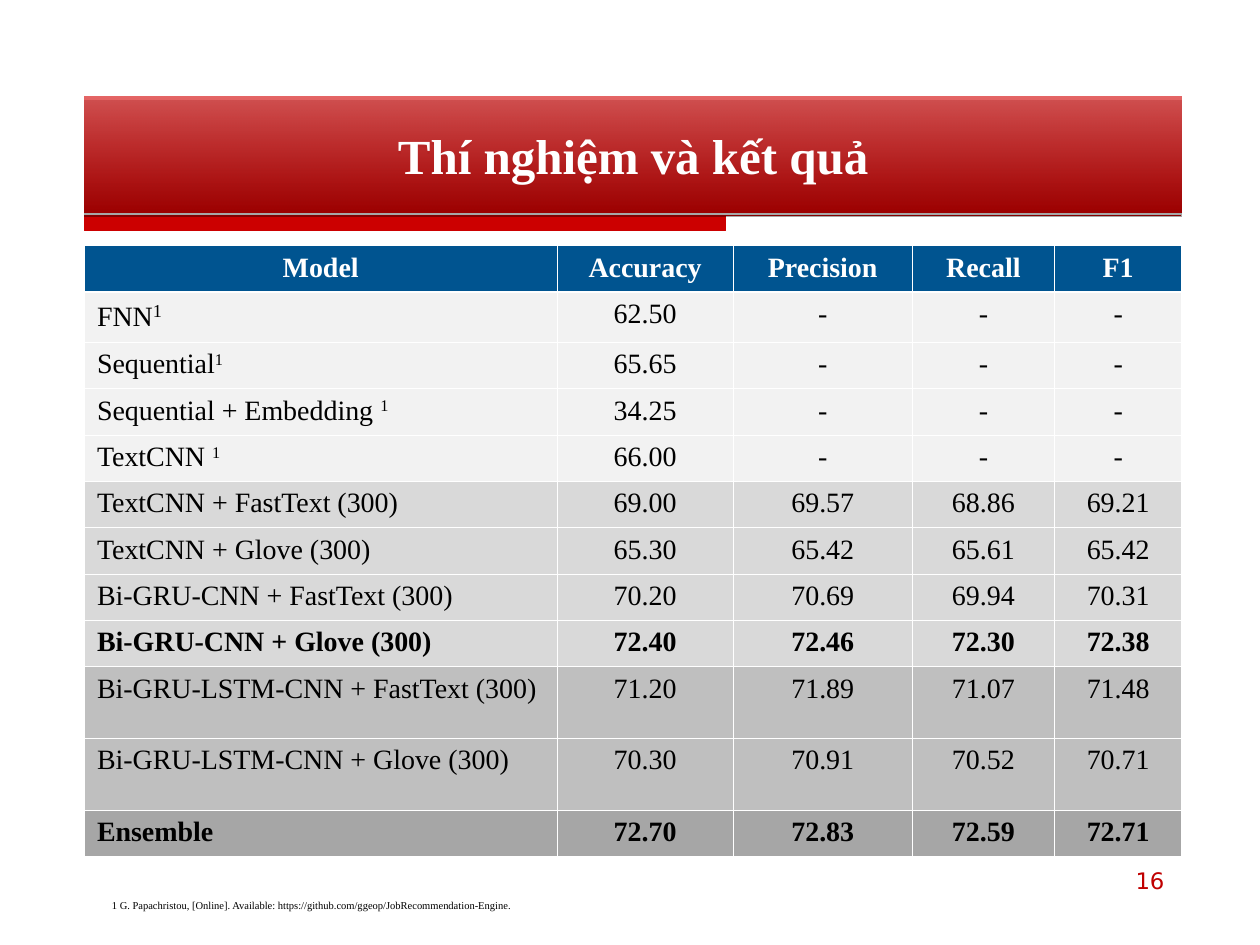
"""Builds a results slide: a title banner, a table of model scores and a footnote."""
from dataclasses import dataclass

from pptx import Presentation
from pptx import util as u
from pptx.dml.color import RGBColor
from pptx.enum import text
from pptx.oxml import parse_xml
from pptx.oxml.ns import nsdecls


@dataclass(frozen=True)
class Theme:
    """Holds the colours, fonts and type sizes of the slide."""
    serif: str = "Times New Roman"
    sans: str = "DejaVu Sans"
    white: str = "FFFFFF"
    black: str = "000000"
    accent: str = "CC0000"
    banner_dark: str = "9D0000"
    banner_light: str = "D30000"
    number: str = "C00000"
    header: str = "005490"
    baseline_models: str = "F2F2F2"
    cnn_models: str = "D9D9D9"
    lstm_models: str = "BFBFBF"
    ensemble: str = "A6A6A6"
    title_size: float = 28
    table_size: float = 16
    large_mark_size: float = 18
    number_size: float = 13
    note_size: float = 10.4


@dataclass(frozen=True)
class Box:
    """Describes a region in grid columns and rows."""
    left: float
    top: float
    width: float
    height: float

    def place(self):
        """Returns left, top, width and height as slide lengths."""
        return [grid(n) for n in (self.left, self.top, self.width, self.height)]


THEME = Theme()
GRID_COLUMNS, GRID_ROWS = 100, 75
COLUMN_WIDTHS = (37.5, 14, 14.2, 11.3, 10.1)
MARKED_ROW, TALL_ROW = 4, 5.7
HEADINGS = ("Model", "Accuracy", "Precision", "Recall", "F1")
GROUPS = (
    (THEME.baseline_models, (
        ("FNN", "62.50", "-", "-", "-"),
        ("Sequential", "65.65", "-", "-", "-"),
        ("Sequential + Embedding ", "34.25", "-", "-", "-"),
        ("TextCNN ", "66.00", "-", "-", "-"))),
    (THEME.cnn_models, (
        ("TextCNN + FastText (300)", "69.00", "69.57", "68.86", "69.21"),
        ("TextCNN + Glove (300)", "65.30", "65.42", "65.61", "65.42"),
        ("Bi-GRU-CNN + FastText (300)", "70.20", "70.69", "69.94", "70.31"),
        ("Bi-GRU-CNN + Glove (300)", "72.40", "72.46", "72.30", "72.38"))),
    (THEME.lstm_models, (
        ("Bi-GRU-LSTM-CNN + FastText (300)", "71.20", "71.89", "71.07", "71.48"),
        ("Bi-GRU-LSTM-CNN + Glove (300)", "70.30", "70.91", "70.52", "70.71"))),
    (THEME.ensemble, (
        ("Ensemble", "72.70", "72.83", "72.59", "72.71"),)),
)
BEST_MODELS = ("Bi-GRU-CNN + Glove (300)", "Ensemble")


def grid(count):
    """Converts a number of grid steps to a slide length."""
    return u.Inches(count / 10)


def write(para, words, *, size, color, font=THEME.serif, bold=False, align=None, raised=False):
    """Adds a formatted span of words to a paragraph."""
    span = para.add_run()
    span.text = words
    span.font.name, span.font.size, span.font.bold = font, u.Pt(size), bold
    span.font.color.rgb = RGBColor.from_string(color)
    if align is not None:
        para.alignment = align
    if raised:
        span.font._element.set("baseline", "30000")


def add_banner(page, box):
    """Formats the title as a shaded banner."""
    title = page.shapes.title
    title.left, title.top, title.width, title.height = box.place()
    properties = title._element.spPr
    properties.append(parse_xml(
        f'<a:gradFill {nsdecls("a")} rotWithShape="1"><a:gsLst>'
        f'<a:gs pos="0"><a:srgbClr val="{THEME.banner_dark}"/></a:gs>'
        f'<a:gs pos="100000"><a:srgbClr val="{THEME.banner_light}"><a:alpha val="60000"/>'
        '</a:srgbClr></a:gs></a:gsLst><a:lin ang="16200000" scaled="0"/></a:gradFill>'))
    properties.append(parse_xml(
        f'<a:effectLst {nsdecls("a")}><a:outerShdw blurRad="0" dist="{u.Pt(1.8)}" dir="5400000" '
        f'rotWithShape="0"><a:srgbClr val="{THEME.black}"><a:alpha val="35000"/></a:srgbClr>'
        '</a:outerShdw></a:effectLst>'))
    frame = title.text_frame
    frame.auto_size = text.MSO_AUTO_SIZE.NONE
    frame.vertical_anchor = text.MSO_ANCHOR.MIDDLE
    write(frame.paragraphs[0], "Thí nghiệm và kết quả", size=THEME.title_size,
          color=THEME.white, bold=True, align=text.PP_ALIGN.CENTER)


def add_accent_bar(page, box, bar_width):
    """Draws a short bar with a rule along its top, behind the banner."""
    left, top, width, height = box.place()
    bar_right = left + grid(bar_width)
    outline = page.shapes.build_freeform(left, top)
    outline.add_line_segments([(bar_right, top), (bar_right, top + height), (left, top + height)])
    outline.move_to(left, top)
    outline.add_line_segments([(left + width, top)], close=False)
    bar = outline.convert_to_shape()
    bar.shadow.inherit = False
    bar.fill.solid()
    bar.fill.fore_color.rgb = bar.line.color.rgb = RGBColor.from_string(THEME.accent)
    bar.line.width = u.Pt(0.75)
    page.shapes.title._element.addprevious(bar._element)


def style_cell(cell, fill, top=0.45, bottom=0.45):
    """Gives a table cell white borders and a plain fill."""
    properties = cell._tc.get_or_add_tcPr()
    for side, points in (("L", 0.45), ("R", 0.45), ("T", top), ("B", bottom)):
        properties.append(parse_xml(
            f'<a:ln{side} {nsdecls("a")} w="{u.Pt(points)}"><a:solidFill>'
            f'<a:srgbClr val="{THEME.white}"/></a:solidFill></a:ln{side}>'))
    cell.fill.solid()
    cell.fill.fore_color.rgb = RGBColor.from_string(fill)


def add_score_table(page, box):
    """Places the table of scores, shaded by model family."""
    rows = [(THEME.header, HEADINGS)]
    rows += [(fill, row) for fill, members in GROUPS for row in members]
    heights = {1: MARKED_ROW, 9: TALL_ROW, 10: TALL_ROW}
    row_height = (box.height - sum(heights.values())) / (len(rows) - len(heights))
    table = page.shapes.add_table(len(rows), len(HEADINGS), *box.place()).table
    for column, width in zip(table.columns, COLUMN_WIDTHS):
        column.width = grid(width)
    for r, (fill, row) in enumerate(rows):
        table.rows[r].height = grid(heights.get(r, row_height))
        for c, words in enumerate(row):
            cell = table.cell(r, c)
            style_cell(cell, fill, top=1.47 if r == 1 else 0.45, bottom=1.47 if r == 0 else 0.45)
            para = cell.text_frame.paragraphs[0]
            centred = r == 0 or c > 0
            write(para, words, size=THEME.table_size,
                  color=THEME.white if r == 0 else THEME.black,
                  bold=r == 0 or row[0] in BEST_MODELS,
                  align=text.PP_ALIGN.CENTER if centred else text.PP_ALIGN.LEFT)
            if c == 0 and fill == THEME.baseline_models:
                write(para, "1", size=THEME.large_mark_size if r == 1 else THEME.table_size,
                      color=THEME.black, raised=True)


def add_text(page, box, words, **format):
    """Places a wrapped line of text and returns its paragraph."""
    frame = page.shapes.add_textbox(*box.place()).text_frame
    frame.word_wrap = True
    para = frame.paragraphs[0]
    write(para, words, **format)
    return para


def add_footer(page, number_box, note_box):
    """Places the page number and the footnote."""
    add_text(page, number_box, "16", size=THEME.number_size, color=THEME.number,
             font=THEME.sans, align=text.PP_ALIGN.RIGHT)
    note = add_text(
        page, note_box,
        "1 G. Papachristou, [Online]. Available: https://github.com/ggeop/JobRecommendation-Engine.",
        size=THEME.note_size, color=THEME.black, align=text.PP_ALIGN.JUSTIFY, raised=True)
    note.line_spacing = 0.8
    note._p.get_or_add_pPr().set("marL", str(grid(1.2)))


def main():
    """Builds and saves the deck."""
    deck = Presentation()
    deck.slide_width, deck.slide_height = grid(GRID_COLUMNS), grid(GRID_ROWS)
    page = deck.slides.add_slide(deck.slide_layouts[5])
    add_banner(page, Box(6.7, 7.7, 87.1, 9.2))
    add_accent_bar(page, Box(6.7, 17.1, 87, 1.2), bar_width=50.9)
    add_score_table(page, Box(6.7, 19.5, 87.1, 48.5))
    add_footer(page, Box(71.7, 68.3, 21.7, 5.2), Box(6.7, 71, 93.3, 2.5))
    deck.save("out.pptx")


if __name__ == "__main__":
    main()
